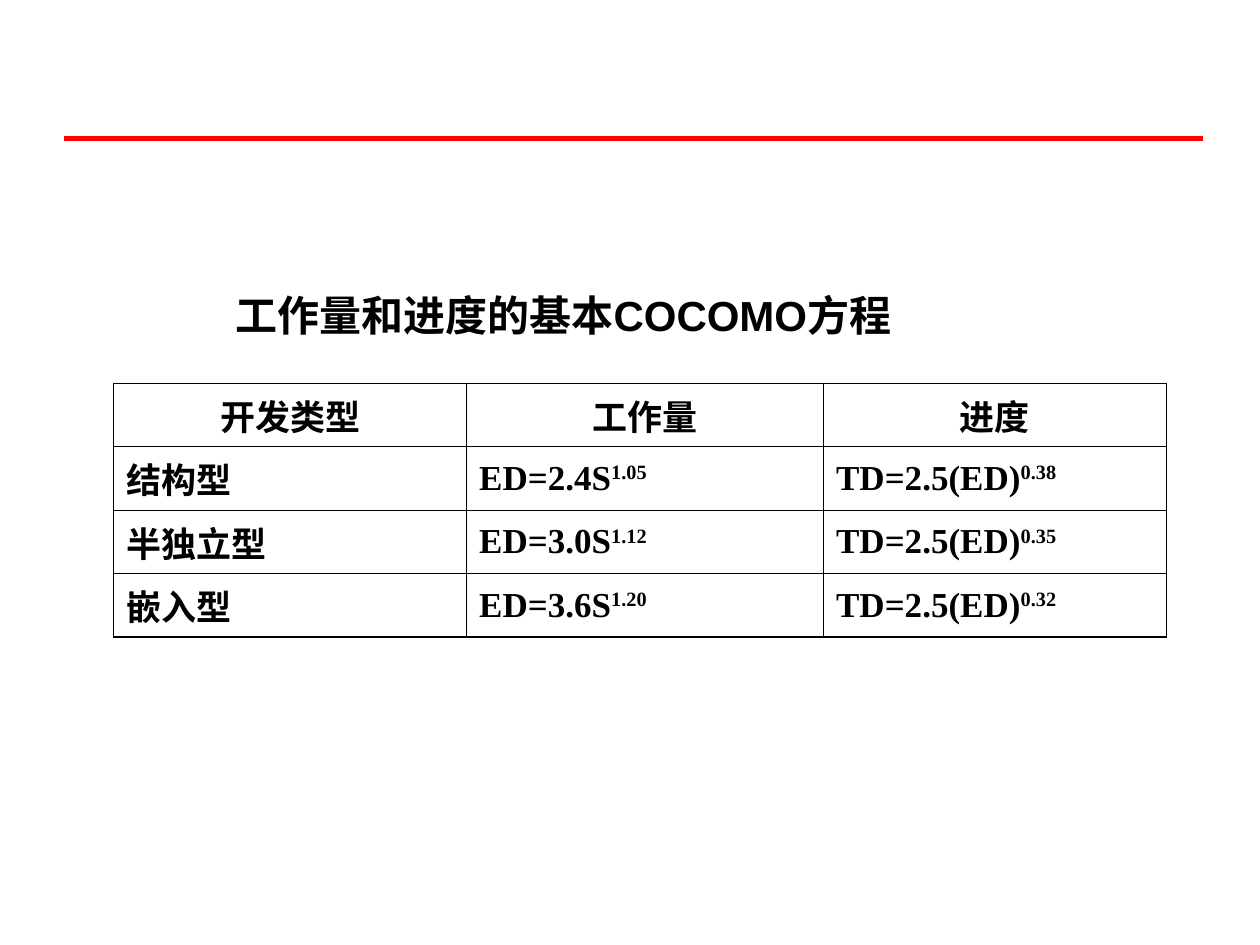
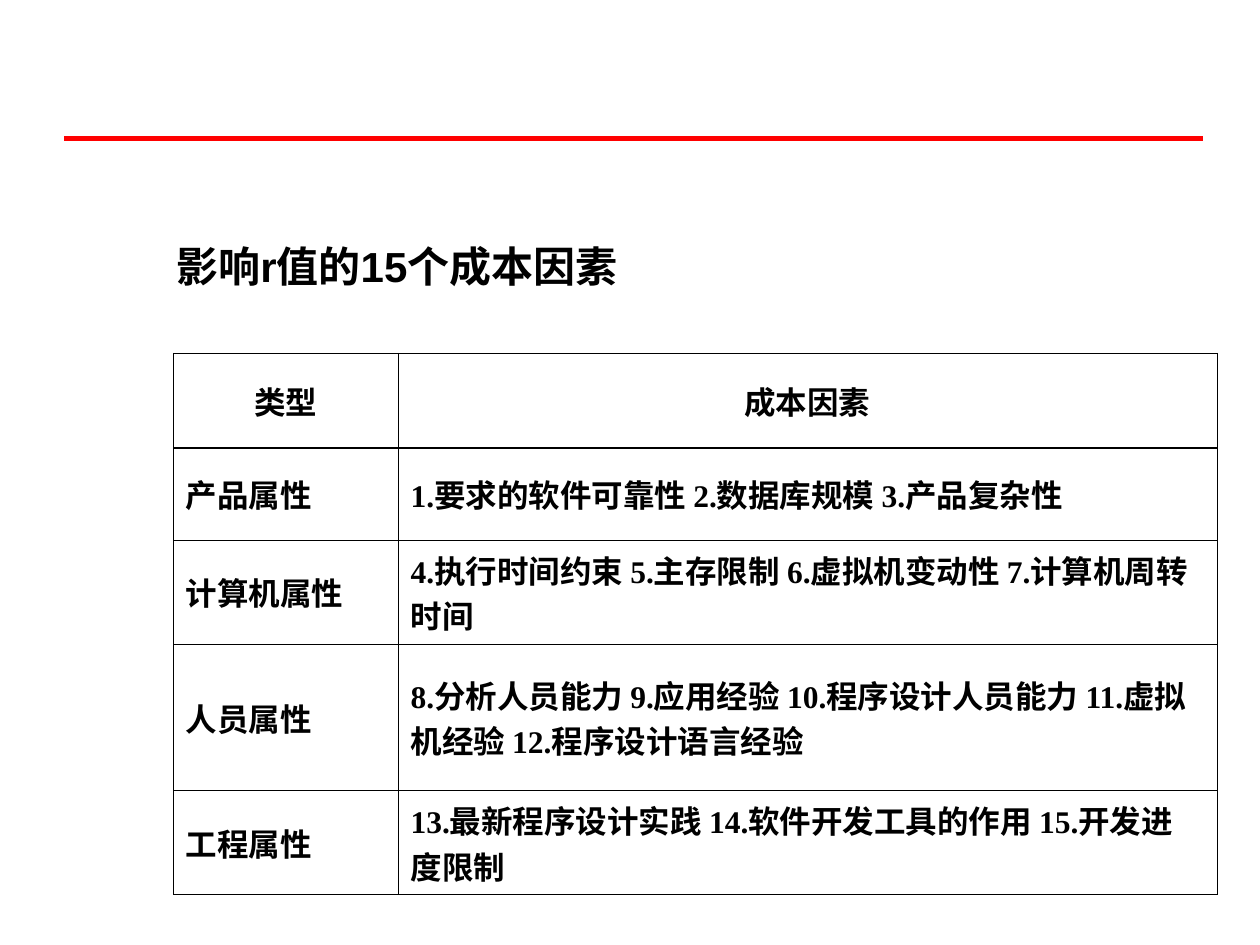
from lxml import etree
from pptx import Presentation
from pptx.dml.color import RGBColor
from pptx.enum.lang import MSO_LANGUAGE_ID
from pptx.enum.shapes import MSO_CONNECTOR
from pptx.enum.text import MSO_ANCHOR, MSO_AUTO_SIZE, PP_ALIGN
from pptx.oxml import parse_xml
from pptx.oxml.ns import nsdecls, qn
from pptx.util import Pt

COLORS = {"text": "000000", "rule": "FF0000", "border": "000000"}
THICK, INNER, SIDE = 0.96, 0.45, 0.34  # table border widths
TITLE_ONLY = 5


class Deck:
    """Holds the shared style and the current slide."""

    heading = {"name": "Arial", "size": Pt(24), "bold": True}
    body = {"name": "Times New Roman", "bold": True}

    def __init__(self):
        self.prs = Presentation()
        self.prs.slide_width, self.prs.slide_height = Pt(720), Pt(540)
        self.s = None

    def new_slide(self, title, left, top, width):
        self.s = self.prs.slides.add_slide(self.prs.slide_layouts[TITLE_ONLY])
        self.rule()
        self.title(title, left, top, width)

    def rule(self):
        line = self.s.shapes.add_connector(
            MSO_CONNECTOR.STRAIGHT, Pt(36.7), Pt(79), Pt(687.6), Pt(79))
        line.line.color.rgb = RGBColor.from_string(COLORS["rule"])
        line.line.width = Pt(3)
        etree.SubElement(line._element.spPr, qn("a:effectLst"))

    def title(self, text, left, top, width):
        sp = self.s.shapes.title
        sp.left, sp.top, sp.width, sp.height = Pt(left), Pt(top), Pt(width), Pt(36)
        tf = sp.text_frame
        tf.vertical_anchor = MSO_ANCHOR.TOP
        tf.auto_size = MSO_AUTO_SIZE.NONE
        p = tf.paragraphs[0]
        p.alignment = PP_ALIGN.LEFT
        self.run(p, text, self.heading)

    def run(self, p, text, style, raised=False):
        r = p.add_run()
        r.text = text
        for name, value in style.items():
            setattr(r.font, name, value)
        r.font.language_id = MSO_LANGUAGE_ID.SIMPLIFIED_CHINESE
        r.font.color.rgb = RGBColor.from_string(COLORS["text"])
        if raised:
            r._r.get_or_add_rPr().set("baseline", "30000")

    def table(self, rows, left, top, widths, heights, size, header_line=INNER):
        """Draw rows of text; a (base, exponent) pair becomes a formula."""
        frame = self.s.shapes.add_table(
            len(rows), len(widths), Pt(left), Pt(top), Pt(sum(widths)), Pt(sum(heights)))
        table = frame.table
        table.first_row = table.horz_banding = False
        for column, width in zip(table.columns, widths):
            column.width = Pt(width)
        for row, height in zip(table.rows, heights):
            row.height = Pt(height)

        # Border widths, from one edge of the table to the other
        across = [SIDE] + [INNER] * (len(widths) - 1) + [SIDE]
        down = [THICK, header_line] + [INNER] * (len(rows) - 2) + [THICK]
        style = {**self.body, "size": Pt(size)}
        for i, row in enumerate(rows):
            for j, content in enumerate(row):
                cell = table.cell(i, j)
                cell.fill.background()
                cell.vertical_anchor = MSO_ANCHOR.MIDDLE
                self.borders(cell, across[j], across[j + 1], down[i], down[i + 1])
                p = cell.text_frame.paragraphs[0]
                p.alignment = PP_ALIGN.LEFT if i else PP_ALIGN.CENTER
                parts = (content,) if isinstance(content, str) else content
                for k, part in enumerate(parts):
                    self.run(p, part, style, raised=k > 0)

    def borders(self, cell, *widths):
        tcPr = cell._tc.get_or_add_tcPr()
        for k, (side, width) in enumerate(zip("LRTB", widths)):
            tcPr.insert(k, parse_xml(
                f'<a:ln{side} {nsdecls("a")} w="{Pt(width)}"><a:solidFill>'
                f'<a:srgbClr val="{COLORS["border"]}"/></a:solidFill></a:ln{side}>'))


def main():
    deck = Deck()

    # Basic equations
    deck.new_slide("工作量和进度的基本COCOMO方程", 127.4, 162, 521.3)
    models = [("结构型", "2.4", "1.05", "0.38"),
              ("半独立型", "3.0", "1.12", "0.35"),
              ("嵌入型", "3.6", "1.20", "0.32")]
    equations = [("开发类型", "工作量", "进度")]
    equations += [(kind, (f"ED={factor}S", effort), ("TD=2.5(ED)", schedule))
                  for kind, factor, effort, schedule in models]
    deck.table(equations, 65, 219, [201.6, 204, 196], [31.5] + [33.9] * 3, 20)

    # Cost factors
    deck.new_slide("影响r值的15个成本因素", 93.6, 133.9, 453.6)
    factors = [
        ("类型", "成本因素"),
        ("产品属性", "1.要求的软件可靠性 2.数据库规模 3.产品复杂性"),
        ("计算机属性", "4.执行时间约束 5.主存限制 6.虚拟机变动性 7.计算机周转时间"),
        ("人员属性", "8.分析人员能力 9.应用经验 10.程序设计人员能力 "
                 "11.虚拟机经验 12.程序设计语言经验"),
        ("工程属性", "13.最新程序设计实践 14.软件开发工具的作用 15.开发进度限制"),
    ]
    deck.table(factors, 99, 202, [128.4, 468], [54, 52.7, 52.7, 83.8, 52.7], 18,
               header_line=THICK)

    deck.prs.save("out.pptx")


if __name__ == "__main__":
    main()
